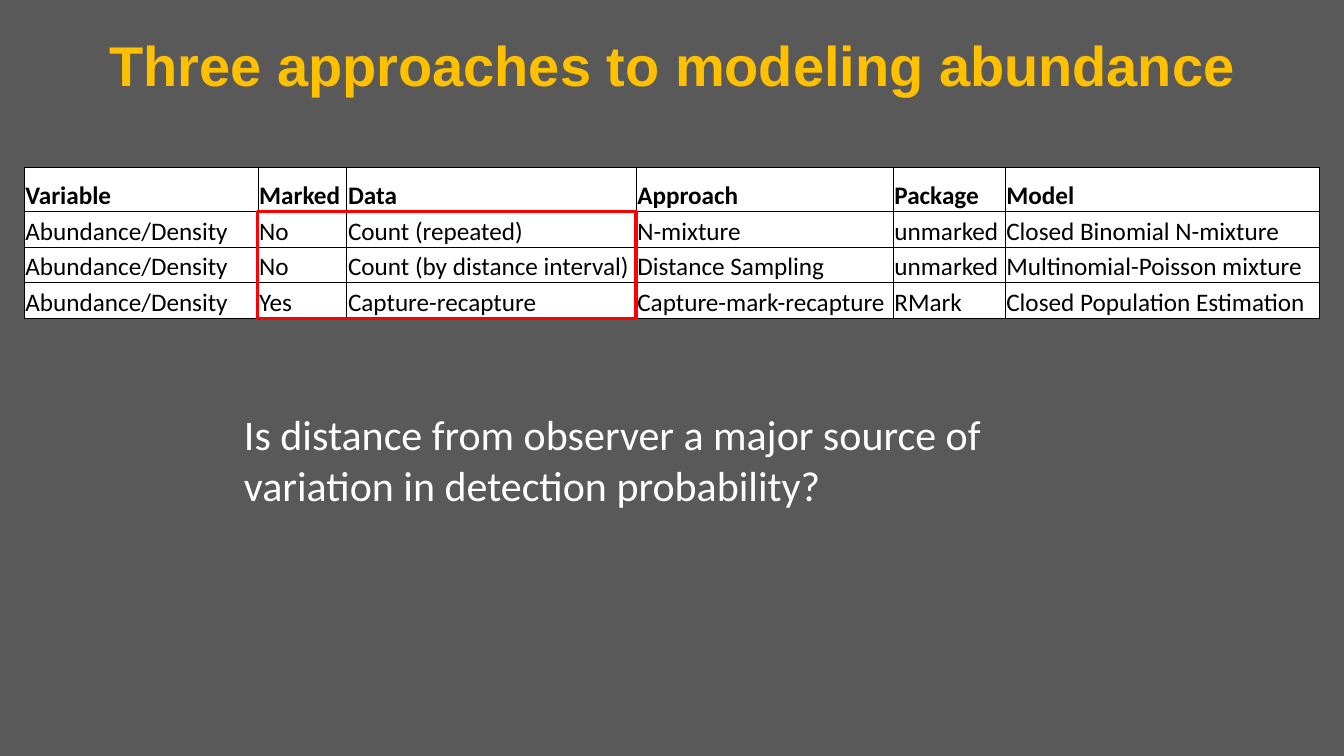
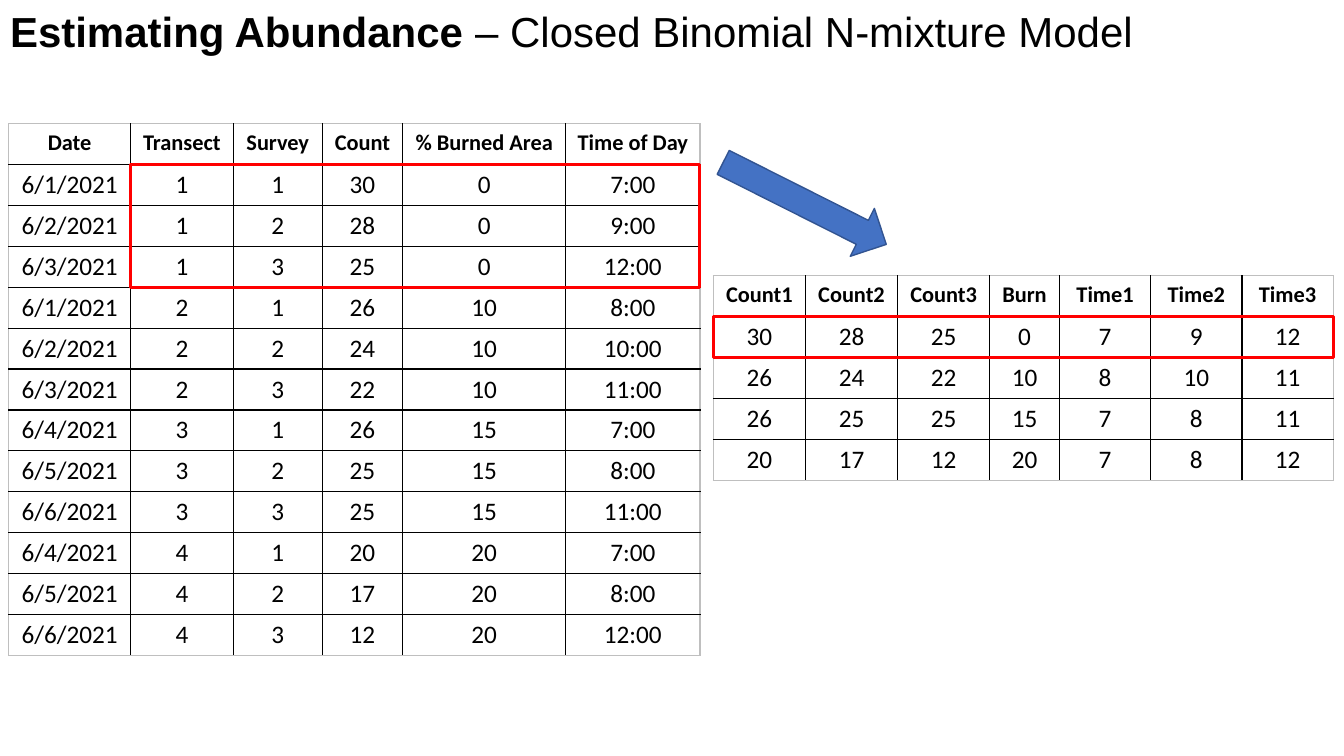
from lxml.etree import SubElement
from pptx import Presentation
from pptx.dml.color import RGBColor
from pptx.enum.shapes import MSO_SHAPE
from pptx.enum.text import MSO_ANCHOR, PP_ALIGN
from pptx.oxml.ns import qn
from pptx.util import Cm, Pt

COLORS = {
    "slate": "595959",
    "white": "FFFFFF",
    "black": "000000",
    "gold": "FFC000",
    "edge": "BFBFBF",
    "red": "FF0000",
    "blue": "4472C4",
    "navy": "325491",
}
HEADING_FONT = "Arial"
BODY_FONT = "Calibri"

APPROACHES = [
    ["Variable", "Marked", "Data", "Approach", "Package", "Model"],
    ["Abundance/Density", "No", "Count (repeated)", "N-mixture",
     "unmarked", "Closed Binomial N-mixture"],
    ["Abundance/Density", "No", "Count (by distance interval)", "Distance Sampling",
     "unmarked", "Multinomial-Poisson mixture"],
    ["Abundance/Density", "Yes", "Capture-recapture", "Capture-mark-recapture",
     "RMark", "Closed Population Estimation"],
]
SURVEYS = [
    ["Date", "Transect", "Survey", "Count", "% Burned Area", "Time of Day"],
    ["6/1/2021", "1", "1", "30", "0", "7:00"],
    ["6/2/2021", "1", "2", "28", "0", "9:00"],
    ["6/3/2021", "1", "3", "25", "0", "12:00"],
    ["6/1/2021", "2", "1", "26", "10", "8:00"],
    ["6/2/2021", "2", "2", "24", "10", "10:00"],
    ["6/3/2021", "2", "3", "22", "10", "11:00"],
    ["6/4/2021", "3", "1", "26", "15", "7:00"],
    ["6/5/2021", "3", "2", "25", "15", "8:00"],
    ["6/6/2021", "3", "3", "25", "15", "11:00"],
    ["6/4/2021", "4", "1", "20", "20", "7:00"],
    ["6/5/2021", "4", "2", "17", "20", "8:00"],
    ["6/6/2021", "4", "3", "12", "20", "12:00"],
]
TRANSECTS = [
    ["Count1", "Count2", "Count3", "Burn", "Time1", "Time2", "Time3"],
    ["30", "28", "25", "0", "7", "9", "12"],
    ["26", "24", "22", "10", "8", "10", "11"],
    ["26", "25", "25", "15", "7", "8", "11"],
    ["20", "17", "12", "20", "7", "8", "12"],
]


def rgb(name):
    return RGBColor.from_string(COLORS[name])


def add_run(paragraph, text, size, color, font=BODY_FONT, bold=False):
    run = paragraph.add_run()
    run.text = text
    run.font.size = Pt(size)
    run.font.name = font
    run.font.bold = bold
    run.font.color.rgb = rgb(color)


def place(shape, left, top, width, height):
    shape.left, shape.top = Cm(left), Cm(top)
    shape.width, shape.height = Cm(width), Cm(height)


def add_titled_slide(deck, background, box, runs, size, color, align):
    slide = deck.slides.add_slide(deck.slide_layouts[5])
    slide.background.fill.solid()
    slide.background.fill.fore_color.rgb = rgb(background)
    title = slide.shapes.title
    place(title, *box)
    title.text_frame.word_wrap = True
    title.text_frame.vertical_anchor = MSO_ANCHOR.TOP
    heading = title.text_frame.paragraphs[0]
    heading.alignment = align
    for text, bold in runs:
        add_run(heading, text, size, color, HEADING_FONT, bold)
    return slide


def set_borders(cell, edges, width):
    properties = cell._tc.get_or_add_tcPr()
    for position, (side, color) in enumerate(edges.items()):
        line = SubElement(properties, qn(f"a:ln{side}"), w=str(Pt(width)))
        fill = SubElement(line, qn("a:solidFill"))
        SubElement(fill, qn("a:srgbClr"), val=COLORS[color])
        properties.insert(position, line)


def add_grid(slide, rows, left, top, widths, heights, header_size=16,
             align=PP_ALIGN.CENTER, anchor=MSO_ANCHOR.TOP, inset=None,
             fill=None, outer="edge", border=1):
    frame = slide.shapes.add_table(len(rows), len(widths), Cm(left), Cm(top),
                                   Cm(sum(widths)), Cm(sum(heights)))
    table = frame.table
    table.first_row = table.horz_banding = False
    for column, width in zip(table.columns, widths):
        column.width = Cm(width)
    for row, height in zip(table.rows, heights):
        row.height = Cm(height)
    last_row, last_column = len(rows) - 1, len(widths) - 1
    for r, values in enumerate(rows):
        for c, value in enumerate(values):
            cell = table.cell(r, c)
            cell.vertical_anchor = anchor
            if inset is not None:
                cell.margin_left = cell.margin_right = cell.margin_top = Cm(inset)
                cell.margin_bottom = 0
            if fill:
                cell.fill.solid()
                cell.fill.fore_color.rgb = rgb(fill)
            else:
                cell.fill.background()
            set_borders(cell, {
                "L": outer if c == 0 else "black",
                "R": outer if c == last_column else "black",
                "T": outer if r == 0 else "black",
                "B": outer if r == last_row else "black",
            }, border)
            paragraph = cell.text_frame.paragraphs[0]
            paragraph.alignment = align
            add_run(paragraph, value, 18 if r else header_size, "black", bold=r == 0)
    return frame


def add_highlight(slide, frame, rows, columns):
    widths = [column.width for column in frame.table.columns]
    heights = [row.height for row in frame.table.rows]
    outline = slide.shapes.add_shape(
        MSO_SHAPE.RECTANGLE,
        frame.left + sum(widths[:columns.start]),
        frame.top + sum(heights[:rows.start]),
        sum(widths[columns.start:columns.stop]),
        sum(heights[rows.start:rows.stop]))
    outline.shadow.inherit = False
    outline.fill.background()
    outline.line.color.rgb = rgb("red")
    outline.line.width = Pt(2.25)


def add_question(slide, text):
    question = slide.shapes.add_textbox(Cm(5.9), Cm(10.18), Cm(20.22), Cm(2.82))
    question.text_frame.word_wrap = True
    add_run(question.text_frame.paragraphs[0], text, 30, "white")


def add_arrow(slide):
    arrow = slide.shapes.add_shape(MSO_SHAPE.RIGHT_ARROW,
                                   Cm(17.98), Cm(4.45), Cm(4.6), Cm(1.35))
    arrow.rotation = 26.7
    arrow.shadow.inherit = False
    arrow.fill.solid()
    arrow.fill.fore_color.rgb = rgb("blue")
    arrow.line.color.rgb = rgb("navy")
    arrow.line.width = Pt(1)


def build_approaches(deck):
    slide = add_titled_slide(
        deck, "slate", (0, 0.64, 33.87, 1.96),
        [("Three approaches to modeling abundance", True)],
        40, "gold", PP_ALIGN.CENTER)
    approaches = add_grid(
        slide, APPROACHES, 0.61, 4.22, [5.89, 2.24, 7.29, 6.48, 2.82, 7.92],
        [1.1] + [0.9] * 3, header_size=18, align=PP_ALIGN.LEFT,
        anchor=MSO_ANCHOR.BOTTOM, inset=0.03, fill="white", outer="black", border=0.5)
    add_highlight(slide, approaches, range(1, 4), range(1, 3))
    add_question(slide, "Is distance from observer a major source of "
                        "variation in detection probability?")


def build_n_mixture(deck):
    slide = add_titled_slide(
        deck, "white", (0, 0, 29.13, 1.55),
        [("Estimating Abundance ", True), ("– Closed Binomial N-mixture Model", False)],
        30, "black", PP_ALIGN.LEFT)
    surveys = add_grid(slide, SURVEYS, 0.22, 3.12,
                       [3.07, 2.59, 2.24, 2.03, 4.11, 3.38], [1.03] * len(SURVEYS))
    transects = add_grid(slide, TRANSECTS, 17.98, 6.95,
                         [2.32] * 3 + [1.76] + [2.3] * 3, [1.03] * len(TRANSECTS))
    add_arrow(slide)
    add_highlight(slide, surveys, range(1, 4), range(1, 6))
    add_highlight(slide, transects, range(1, 2), range(0, 7))


def main():
    deck = Presentation()
    deck.slide_width, deck.slide_height = Cm(33.87), Cm(19.05)
    build_approaches(deck)
    build_n_mixture(deck)
    deck.save("out.pptx")


if __name__ == "__main__":
    main()
